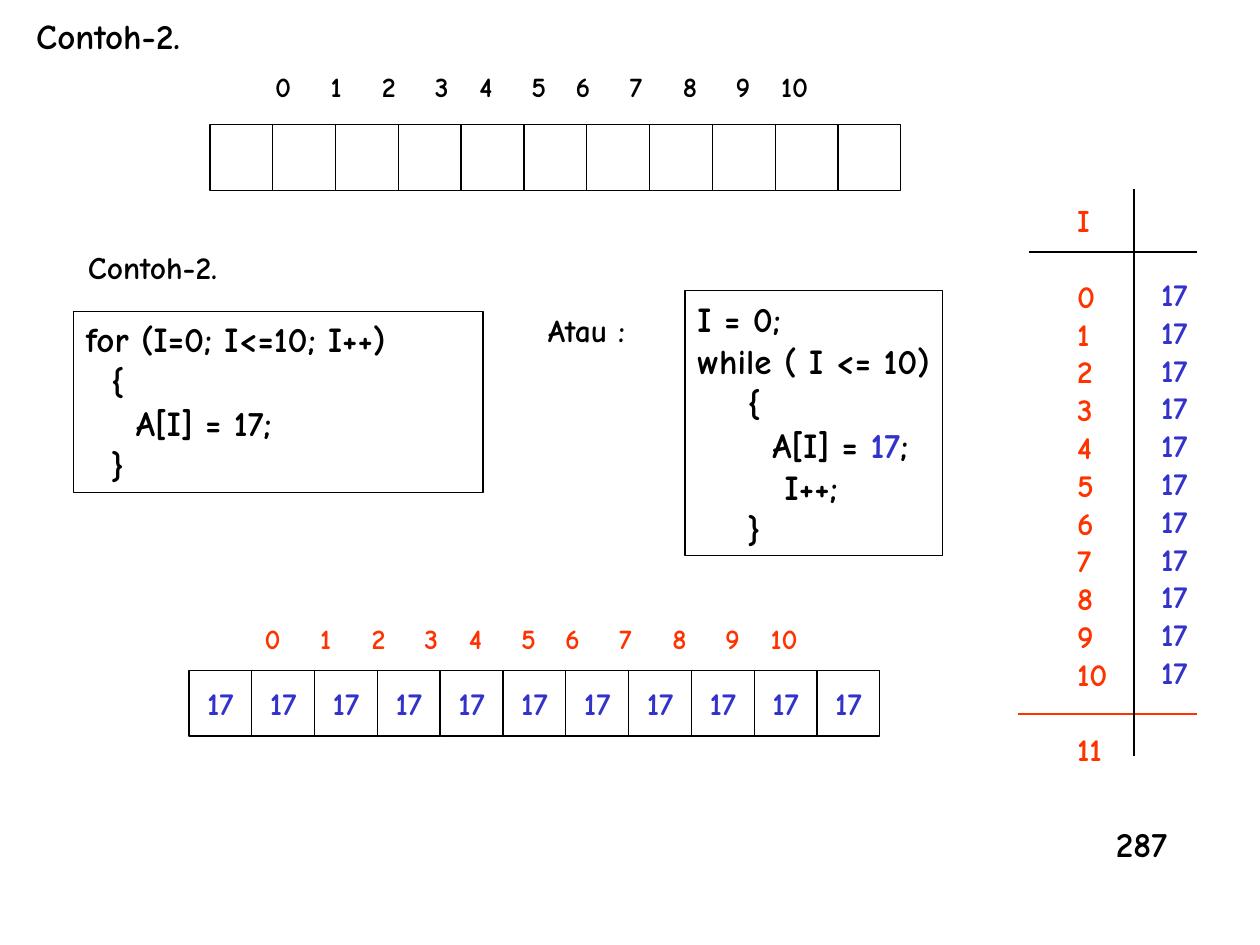
from lxml.etree import SubElement
from pptx import Presentation
from pptx.dml.color import RGBColor
from pptx.enum.shapes import MSO_CONNECTOR, MSO_SHAPE
from pptx.enum.text import MSO_ANCHOR, MSO_AUTO_SIZE, PP_ALIGN
from pptx.oxml.ns import qn
from pptx.util import Inches, Pt

COLORS = {"ink": "000000", "index": "FF3300", "value": "3333CC"}
FONT = "Comic Neue"
COUNT = 11
VALUE = "17"
LINE_PITCH = 21.5  # points between lines of 18 point text
# Centres of the index labels, in inches from the start of their line
INDEX_STOPS = [0.14, 0.56, 0.98, 1.4, 1.75, 2.17, 2.52, 2.94, 3.37, 3.79, 4.2]


def grid(units):
    """Length on a grid of 120 columns by 90 rows of square cells."""
    return Inches(units / 12)


def color(name):
    return RGBColor.from_string(COLORS[name])


def style(paragraph, size, ink="ink", align=PP_ALIGN.LEFT):
    paragraph.alignment = align
    font = paragraph.font
    font.name, font.size, font.bold = FONT, Pt(size), True
    font.color.rgb = color(ink)


def fill_text(shape, lines, size, ink="ink", wrap=False):
    frame = shape.text_frame
    frame.auto_size = MSO_AUTO_SIZE.NONE
    frame.word_wrap = wrap
    frame.vertical_anchor = MSO_ANCHOR.TOP
    frame.text = "\n".join(lines)
    for paragraph in frame.paragraphs:
        style(paragraph, size, ink)
    return frame


def add_text(slide, box, lines, size, ink="ink", wrap=False):
    shape = slide.shapes.add_textbox(*map(grid, box))
    return fill_text(shape, lines, size, ink, wrap)


def add_frame(slide, box):
    shape = slide.shapes.add_shape(MSO_SHAPE.RECTANGLE, *map(grid, box))
    shape.shadow.inherit = False
    shape.fill.background()
    shape.line.color.rgb = color("ink")
    shape.line.width = Pt(0.75)
    return shape


def add_rule(slide, start, end, ink="ink"):
    rule = slide.shapes.add_connector(
        MSO_CONNECTOR.STRAIGHT, *map(grid, (*start, *end)))
    rule.line.color.rgb = color(ink)
    rule.line.width = Pt(0.75)
    SubElement(rule._element.spPr, qn("a:effectLst"))


def add_title(slide, box, text):
    title = slide.shapes.title
    title.left, title.top, title.width, title.height = map(grid, box)
    fill_text(title, [text], 20)


def add_code(slide, box, lines, wrap=False):
    return fill_text(add_frame(slide, box), lines, 20, wrap=wrap)


def add_array(slide, box, label_offset, label_ink, value=None):
    """Row of cells with index labels above it."""
    left, top, width, height = box
    cell_width = width / COUNT
    for index in range(COUNT):
        cell = add_frame(
            slide, (left + index * cell_width, top, cell_width, height))
        if value:
            frame = fill_text(cell, [value], 18, "value")
            frame.vertical_anchor = MSO_ANCHOR.MIDDLE
            frame.paragraphs[0].alignment = PP_ALIGN.CENTER

    # Index labels on centred tab stops
    right, up = label_offset
    frame = add_text(slide, (left + right, top - up, 56, 4.4), [""], 16, wrap=True)
    paragraph = frame.paragraphs[0]
    paragraph.text = "".join(f"\t{index}" for index in range(COUNT))
    properties = paragraph._p.get_or_add_pPr()
    for child in list(properties):
        properties.remove(child)
    tabs = SubElement(properties, qn("a:tabLst"))
    for stop in INDEX_STOPS:
        SubElement(tabs, qn("a:tab"), pos=str(Inches(stop)), algn="ctr")
    style(paragraph, 16, label_ink)


def add_trace(slide, box):
    """Trace of I and the stored values, split by rules."""
    left, top, width, height = box
    right, divider = left + width, left + 11
    header, footer = top + 6, top + 50

    numbers = [str(index) for index in range(COUNT + 1)]
    frame = add_text(slide, (left + 4.4, top + 0.6, 5.3, 55.2),
                     ["I", *numbers], 18, "index")
    for position in (1, COUNT + 1):  # first value and the closing value
        frame.paragraphs[position].space_before = Pt(LINE_PITCH)

    add_rule(slide, (left + 1, header), (right, header))
    add_rule(slide, (left, footer), (right, footer), "index")
    add_rule(slide, (divider, top), (divider, top + height))
    add_text(slide, (divider + 1.4, top + 7.6, 4.9, 40.8),
             [VALUE] * COUNT, 18, "value")


def main():
    presentation = Presentation()
    presentation.slide_width, presentation.slide_height = grid(120), grid(90)
    slide = presentation.slides.add_slide(presentation.slide_layouts[5])
    add_title(slide, (2.25, 0.75, 16.1, 5.3), "Contoh-2.")

    # Empty array
    add_array(slide, (20, 11.88, 65.8, 6.25), (4.1, 5.88), "ink")

    # The two loops
    add_text(slide, (7.2, 23, 14.75, 4.8), ["Contoh-2."], 18)
    add_code(slide, (7, 29.67, 39, 17.25),
             ["for (I=0; I<=10; I++)", "  {", "    A[I] = 17;", "  }"], wrap=True)
    add_text(slide, (51, 29, 9.75, 4.8), ["Atau :"], 18)
    loop = add_code(slide, (65.25, 27.7, 24.5, 25.2),
                    ["I = 0;", "while ( I <= 10)", "    {", "      A[I] = ",
                     "       I++;", "    }"])
    assignment = loop.paragraphs[3]
    number = assignment.add_run()
    number.text = VALUE
    number.font.color.rgb = color("value")
    assignment.add_run().text = ";"

    # Filled array
    add_array(slide, (18, 63.84, 65.8, 6.25), (5.1, 5.28), "index", VALUE)

    add_trace(slide, (97, 18, 17, 54))

    # Page number
    add_text(slide, (105.1, 77.75, 7.2, 5.3), ["287"], 20)
    presentation.save("out.pptx")


if __name__ == "__main__":
    main()
